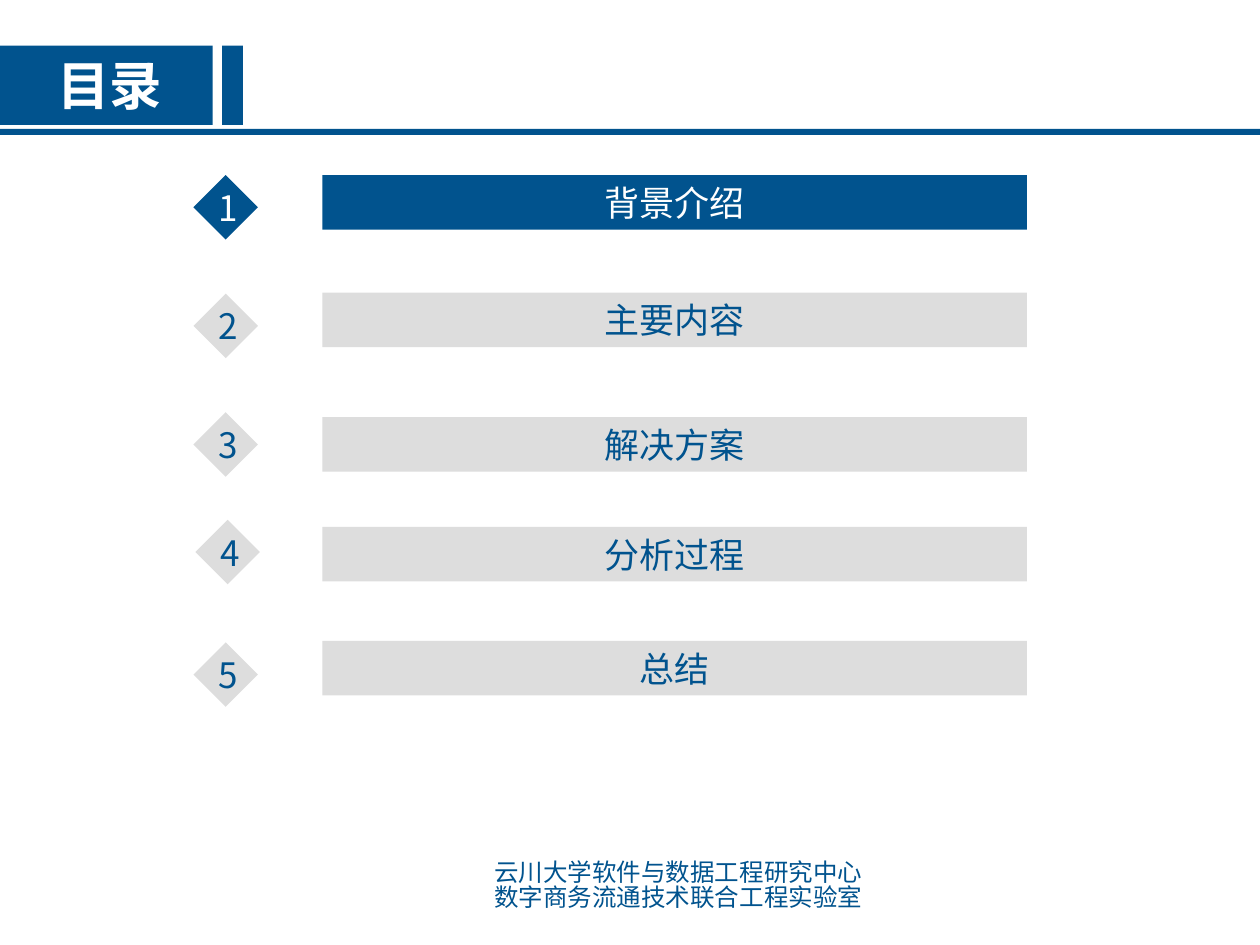
from lxml.etree import SubElement
from pptx import Presentation
from pptx.dml.color import RGBColor
from pptx.enum.shapes import MSO_SHAPE
from pptx.enum.text import MSO_ANCHOR, MSO_AUTO_SIZE, PP_ALIGN
from pptx.oxml.ns import qn
from pptx.util import Cm, Pt

FONT = "Noto Sans CJK SC"
BLUE, GREY, WHITE = "01538E", "DDDDDD", "FFFFFF"


def add_block(kind, left, top, width, height, color):
    block = slide.shapes.add_shape(kind, Cm(left), Cm(top), Cm(width), Cm(height))
    block.shadow.inherit = False
    block.fill.solid()
    block.fill.fore_color.rgb = RGBColor.from_string(color)
    block.line.fill.background()
    return block


def add_run(paragraph, text, size, color, align=PP_ALIGN.CENTER, bold=False):
    """Add one run, with the font set for Latin and East Asian letters."""
    paragraph.alignment = align
    run = paragraph.add_run()
    run.text = text
    run.font.size = Pt(size)
    run.font.bold = bold
    run.font.color.rgb = RGBColor.from_string(color)
    run.font.name = FONT
    SubElement(run.font._element, qn("a:ea"), typeface=FONT)


prs = Presentation()
prs.slide_width, prs.slide_height = Cm(25.4), Cm(19.05)
slide = prs.slides.add_slide(prs.slide_layouts[5])

# Header band
for left, top, width, height in [
    (0, 0.92, 4.29, 1.6),
    (4.48, 0.92, 0.42, 1.6),
    (0, 2.6, 25.4, 0.12),
]:
    add_block(MSO_SHAPE.RECTANGLE, left, top, width, height, BLUE)

heading = slide.shapes.title
heading.left, heading.top, heading.width, heading.height = Cm(0.9), Cm(0.92), Cm(4.6), Cm(1.55)
heading.text_frame.vertical_anchor = MSO_ANCHOR.MIDDLE
heading.text_frame.auto_size = MSO_AUTO_SIZE.NONE
add_run(heading.text_frame.paragraphs[0], "目录", 30, WHITE, PP_ALIGN.LEFT, bold=True)
# The heading stands in front of the band
heading.element.getparent().append(heading.element)

# Organisation lines at the foot
organisation = slide.shapes.add_textbox(Cm(8.71), Cm(17.25), Cm(9.93), Cm(1.45)).text_frame
organisation.word_wrap = True
first_line, second_line = organisation.paragraphs[0], organisation.add_paragraph()
for line, text in [
    (first_line, "云川大学软件与数据工程研究中心"),
    (second_line, "数字商务流通技术联合工程实验室"),
]:
    line.line_spacing = 0.85
    add_run(line, text, 14, BLUE)

# Agenda: chapter, diamond left and top, bar top
agenda = [
    ("背景介绍", 3.9, 3.53, 3.53),
    ("主要内容", 3.9, 5.92, 5.9),
    ("解决方案", 3.9, 8.31, 8.41),
    ("分析过程", 3.94, 10.48, 10.62),
    ("总结", 3.9, 12.95, 12.92),
]
for number, (chapter, diamond_left, diamond_top, bar_top) in enumerate(agenda, start=1):
    fill, ink = (BLUE, WHITE) if number == 1 else (GREY, BLUE)

    diamond = add_block(MSO_SHAPE.DIAMOND, diamond_left, diamond_top, 1.3, 1.3, fill)
    frame = diamond.text_frame
    frame.margin_left = frame.margin_right = Cm(0.18)
    frame.margin_top = frame.margin_bottom = Cm(0.1)
    add_run(frame.paragraphs[0], str(number), 20, ink)

    bar = add_block(MSO_SHAPE.RECTANGLE, 6.5, bar_top, 14.2, 1.1, fill)
    add_run(bar.text_frame.paragraphs[0], chapter, 20, ink)

prs.save("out.pptx")
